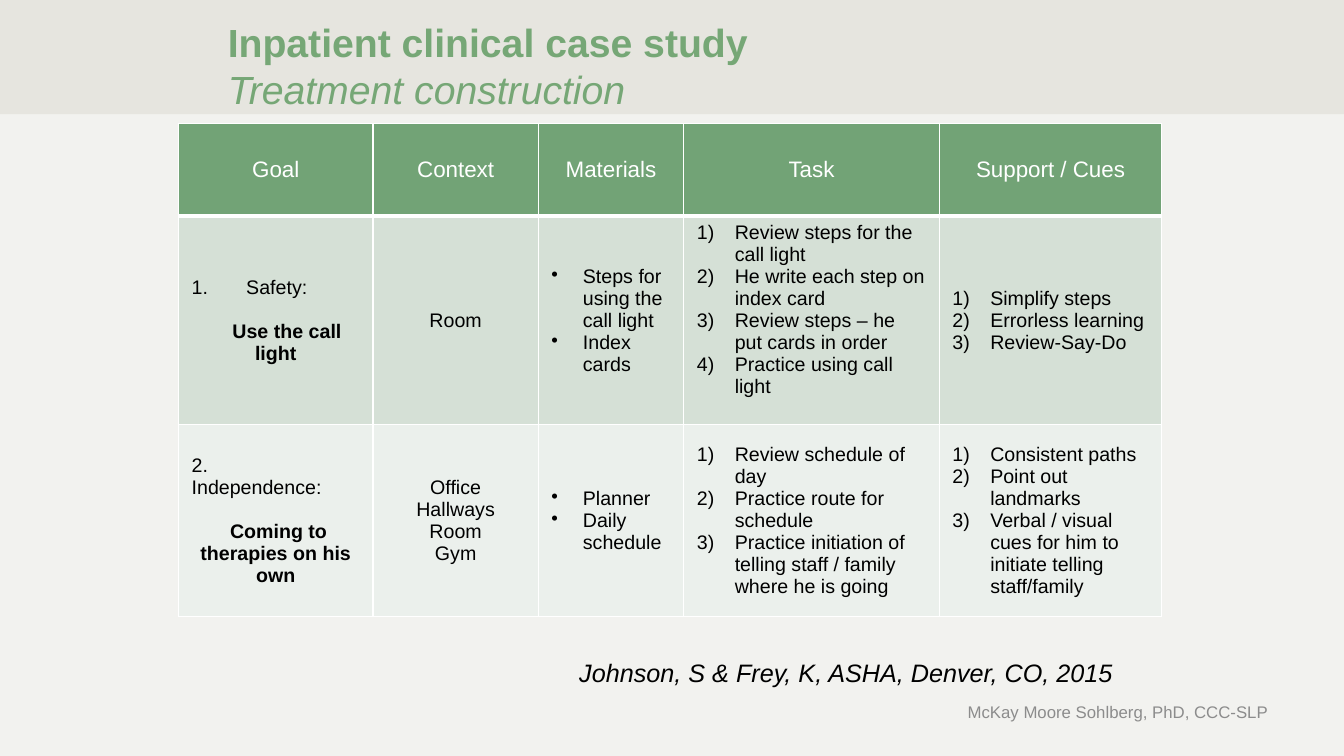
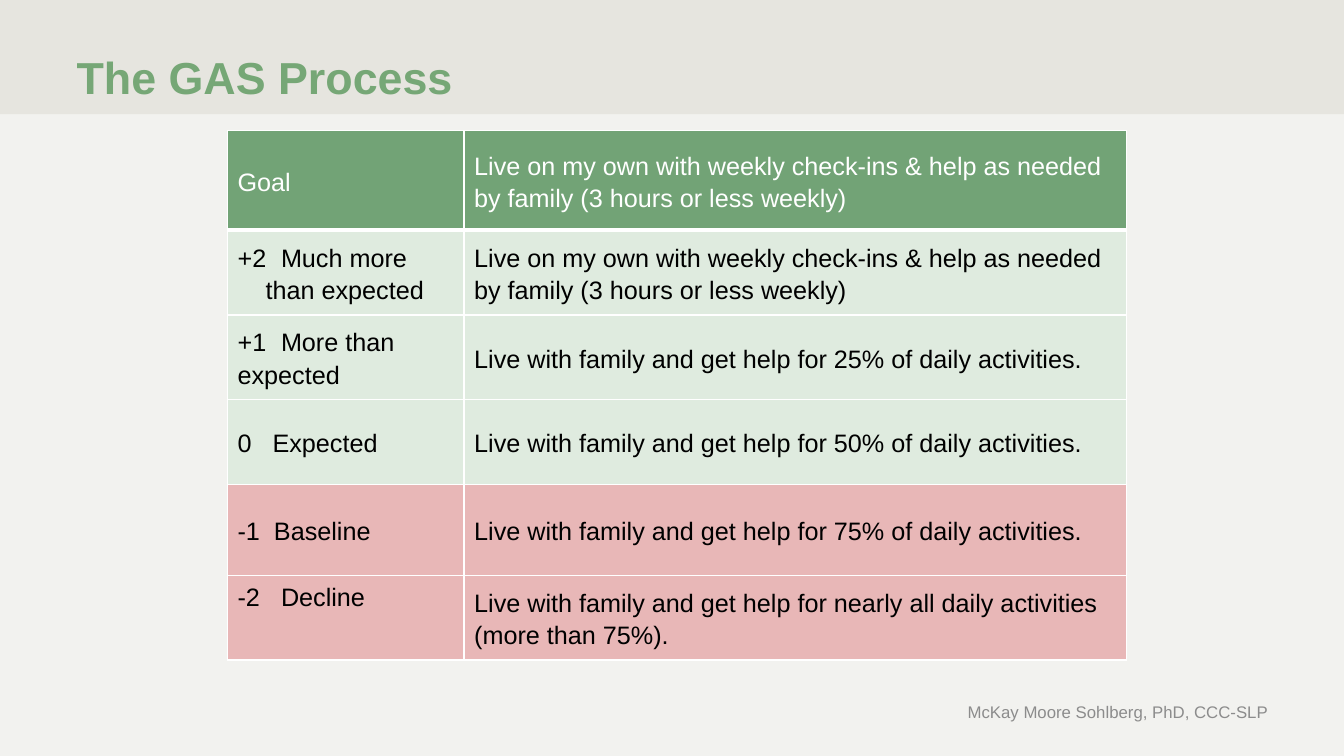
from dataclasses import dataclass

from lxml import etree
from pptx import Presentation
from pptx import util as u
from pptx.dml.color import RGBColor
from pptx.enum import shapes, text
from pptx.oxml import ns

Pt = u.Pt
FONT = "Arial"
COLORS = {
    "background": "F2F2EF", "band": "E6E5DF", "title": "76A776",
    "footer": "8C8C8C", "header": "72A376", "white": "FFFFFF",
    "black": "000000", "safety": "D5E0D6", "independence": "EBF0EC",
    "gain": "DFEBDF", "loss": "E8B7B7",
}
LEFT, CENTER, RIGHT = text.PP_ALIGN.LEFT, text.PP_ALIGN.CENTER, text.PP_ALIGN.RIGHT
MIDDLE, TOP = text.MSO_ANCHOR.MIDDLE, text.MSO_ANCHOR.TOP
BULLET = ("buChar", {"char": "•"}, 22.5)
NUMBER = ("buAutoNum", {"type": "arabicParenR"}, 27)
FOOTER = "McKay Moore Sohlberg, PhD, CCC-SLP"


@dataclass
class Line:
    """One paragraph of a table cell; lengths are in points."""
    text: str
    align: text.PP_ALIGN = LEFT
    bold: bool = False
    marker: tuple = None
    indent: float = 0
    tabs: tuple = ()
    after: float = 0
    spacing: float = 1.0


@dataclass
class TableStyle:
    size: float
    header_size: float
    margins: tuple


def rgb(name):
    return RGBColor.from_string(COLORS[name])


def set_font(font, size, color, bold=False, italic=False):
    font.name, font.size = FONT, Pt(size)
    font.bold, font.italic = bold, italic
    font.color.rgb = rgb(color)


def add_child(parent, tag, **attributes):
    return etree.SubElement(parent, ns.qn("a:" + tag), attributes)


# Shared slide parts
def add_text(slide, box, words, size, color, italic=False, anchor=TOP):
    frame = slide.shapes.add_textbox(*map(Pt, box)).text_frame
    frame.word_wrap = True
    frame.vertical_anchor = anchor
    paragraph = frame.paragraphs[0]
    paragraph.text = words
    paragraph.alignment = RIGHT
    set_font(paragraph.font, size, color, italic=italic)


def set_title(slide, box, size, heading, subheading=None):
    title = slide.shapes.title
    title.left, title.top, title.width, title.height = map(Pt, box)
    frame = title.text_frame
    frame.auto_size = text.MSO_AUTO_SIZE.NONE
    frame.vertical_anchor = text.MSO_ANCHOR.BOTTOM
    paragraph = frame.paragraphs[0]
    paragraph.alignment = LEFT
    run = paragraph.add_run()
    run.text = heading
    set_font(run.font, size, "title", bold=True)
    if subheading:
        paragraph.add_line_break()
        run = paragraph.add_run()
        run.text = subheading
        set_font(run.font, size, "title", italic=True)


def add_slide(presentation):
    slide = presentation.slides.add_slide(presentation.slide_layouts[5])
    band = slide.shapes.add_shape(shapes.MSO_SHAPE.RECTANGLE, 0, 0,
                                  presentation.slide_width, Pt(81.5))
    band.shadow.inherit = False
    band.fill.solid()
    band.fill.fore_color.rgb = rgb("band")
    band.line.fill.background()
    slide.shapes.title.element.addprevious(band.element)
    add_text(slide, (563, 492.5, 350, 32.5), FOOTER, 12, "footer", anchor=MIDDLE)
    return slide


# Tables
def add_borders(cell, bottom):
    properties = cell._tc.get_or_add_tcPr()
    for side, width in (("lnL", 1), ("lnR", 1), ("lnT", 1), ("lnB", bottom)):
        line = add_child(properties, side, w=str(Pt(width)))
        add_child(add_child(line, "solidFill"), "srgbClr", val=COLORS["white"])


def write_line(paragraph, line, size, color):
    paragraph.text = line.text
    paragraph.alignment = line.align
    paragraph.line_spacing = line.spacing
    paragraph.space_after = Pt(line.after)
    properties = paragraph._p.get_or_add_pPr()
    if line.marker:
        tag, attributes, hang = line.marker
        properties.set("marL", str(Pt(hang)))
        properties.set("indent", str(-Pt(hang)))
        add_child(properties, tag, **attributes)
    elif line.indent:
        properties.set("indent", str(Pt(line.indent)))
    if line.tabs:
        stops = add_child(properties, "tabLst")
        for position in line.tabs:
            add_child(stops, "tab", pos=str(Pt(position)), algn="l")
    set_font(paragraph.font, size, color, bold=line.bold)


def fill_cell(cell, lines, fill, size, color, margins, bottom):
    add_borders(cell, bottom)
    cell.fill.solid()
    cell.fill.fore_color.rgb = rgb(fill)
    cell.vertical_anchor = MIDDLE
    cell.margin_left = cell.margin_right = Pt(margins[0])
    cell.margin_top = cell.margin_bottom = Pt(margins[1])
    frame = cell.text_frame
    for index, line in enumerate(lines):
        paragraph = frame.add_paragraph() if index else frame.paragraphs[0]
        write_line(paragraph, line, size, color)


def add_table(slide, origin, widths, heights, rows, fills, style):
    table = slide.shapes.add_table(len(heights), len(widths), *map(Pt, origin),
                                   Pt(sum(widths)), Pt(sum(heights))).table
    for column, width in zip(table.columns, widths):
        column.width = Pt(width)
    for index, (height, cells, fill) in enumerate(zip(heights, rows, fills)):
        table.rows[index].height = Pt(height)
        header = index == 0
        size = style.header_size if header else style.size
        color = "white" if header else "black"
        for cell, lines in zip(table.rows[index].cells, cells):
            fill_cell(cell, lines, fill, size, color, style.margins, 3 if header else 1)
    return table


def listed(marker, *items):
    return [Line(item, marker=marker) for item in items]


def centered(*items):
    return [Line(item, CENTER) for item in items]


def goal(label, aim, indent):
    return [Line(label, tabs=(39,), after=16),
            Line(aim, CENTER, bold=True, indent=indent)]


# Slides
def add_case_study(presentation):
    slide = add_slide(presentation)
    set_title(slide, (155.5, 18, 648, 66), 28,
              "Inpatient clinical case study", "Treatment construction")
    headings = ("Goal", "Context", "Materials", "Task", "Support / Cues")
    rows = [
        [centered(heading) for heading in headings],
        [goal("1.\tSafety:", "Use the call light", 16),
         centered("Room"),
         listed(BULLET, "Steps for using the call light", "Index cards"),
         listed(NUMBER, "Review steps for the call light",
                "He write each step on index card",
                "Review steps – he put cards in order",
                "Practice using call light"),
         listed(NUMBER, "Simplify steps", "Errorless learning", "Review-Say-Do")],
        [goal("2.\vIndependence:", "Coming to therapies on his own", 4),
         centered("Office", "Hallways", "Room", "Gym"),
         listed(BULLET, "Planner", "Daily schedule"),
         listed(NUMBER, "Review schedule of day", "Practice route for schedule",
                "Practice initiation of telling staff / family where he is going"),
         listed(NUMBER, "Consistent paths", "Point out landmarks",
                "Verbal / visual cues for him to initiate telling staff/family")],
    ]
    table = add_table(slide, (127.5, 88), (139, 118, 104, 182.5, 159),
                      (66.5, 149, 137), rows, ("header", "safety", "independence"),
                      TableStyle(14, 16, (9.4, 3.6)))
    table.cell(1, 3).vertical_anchor = TOP
    add_text(slide, (381, 466, 421, 29),
             "Johnson, S & Frey, K, ASHA, Denver, CO, 2015", 18, "black", italic=True)


def add_gas_process(presentation):
    slide = add_slide(presentation)
    set_title(slide, (47.5, 11.5, 865, 66), 32, "The GAS Process")
    independent = ("Live on my own with weekly check-ins & help as needed "
                   "by family (3 hours or less weekly)")
    daily = "Live with family and get help for {} of daily activities."
    # Label, its tab stops, description
    levels = [
        ("Goal", (), independent),
        ("+2\tMuch more\v\tthan expected", (20, 31), independent),
        ("+1\tMore than expected", (31,), daily.format("25%")),
        ("0\tExpected", (25,), daily.format("50%")),
        ("-1\tBaseline", (26,), daily.format("75%")),
        ("-2\tDecline", (31,), "Live with family and get help for nearly all "
                               "daily activities (more than 75%)."),
    ]
    rows = [[[Line(label, tabs=tabs, spacing=1.15)], [Line(description, spacing=1.15)]]
            for label, tabs, description in levels]
    table = add_table(slide, (162.5, 93.5), (169, 473),
                      (71, 60.5, 60.5, 60.5, 65, 60.5), rows,
                      ["header"] + ["gain"] * 3 + ["loss"] * 2,
                      TableStyle(18, 18, (7.2, 0)))
    decline = table.cell(5, 0)
    decline.vertical_anchor = TOP
    decline.margin_top = Pt(3)


def main():
    presentation = Presentation()
    presentation.slide_width, presentation.slide_height = Pt(960), Pt(540)
    background = presentation.slide_master.background.fill
    background.solid()
    background.fore_color.rgb = rgb("background")
    add_case_study(presentation)
    add_gas_process(presentation)
    presentation.save("out.pptx")


if __name__ == "__main__":
    main()
